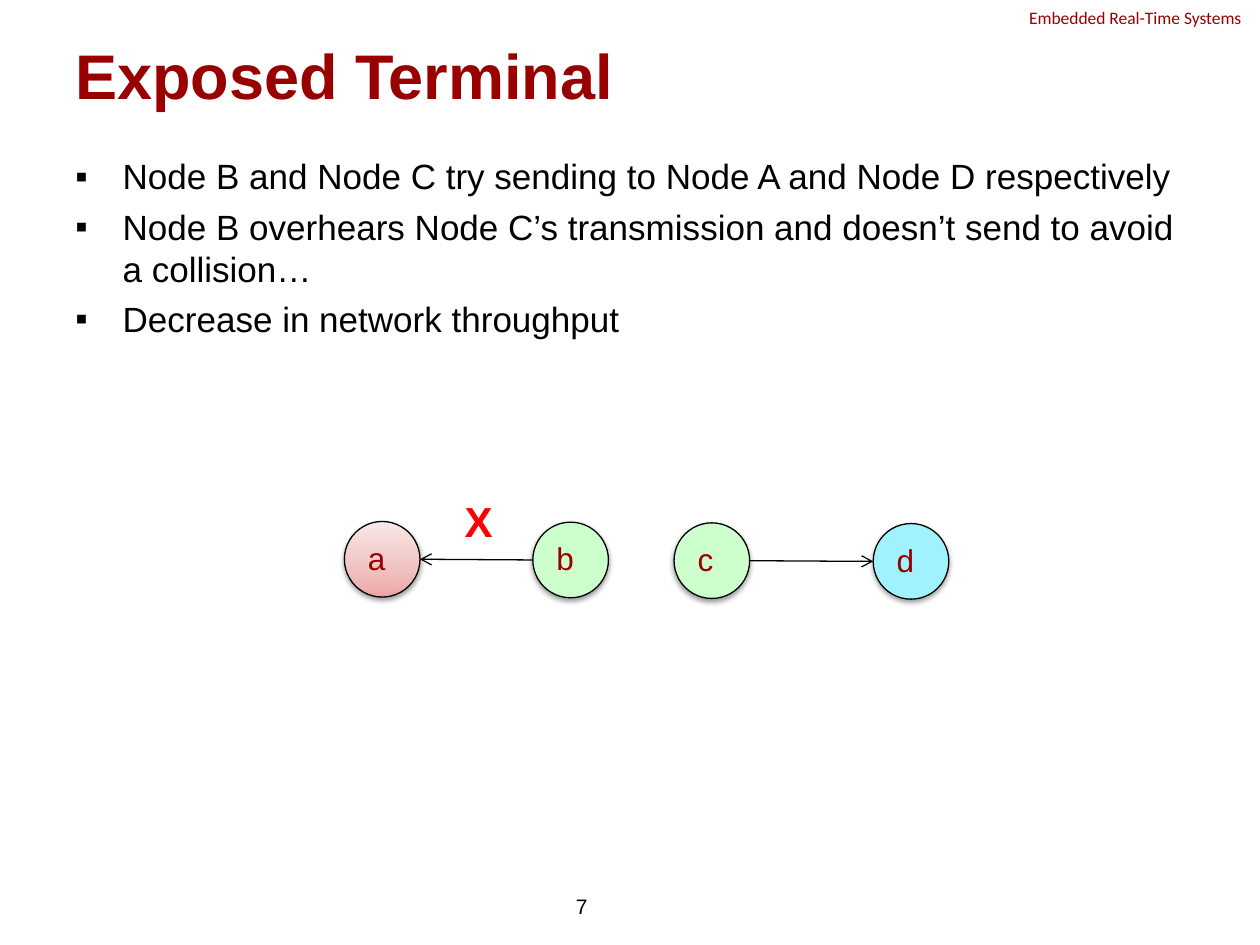
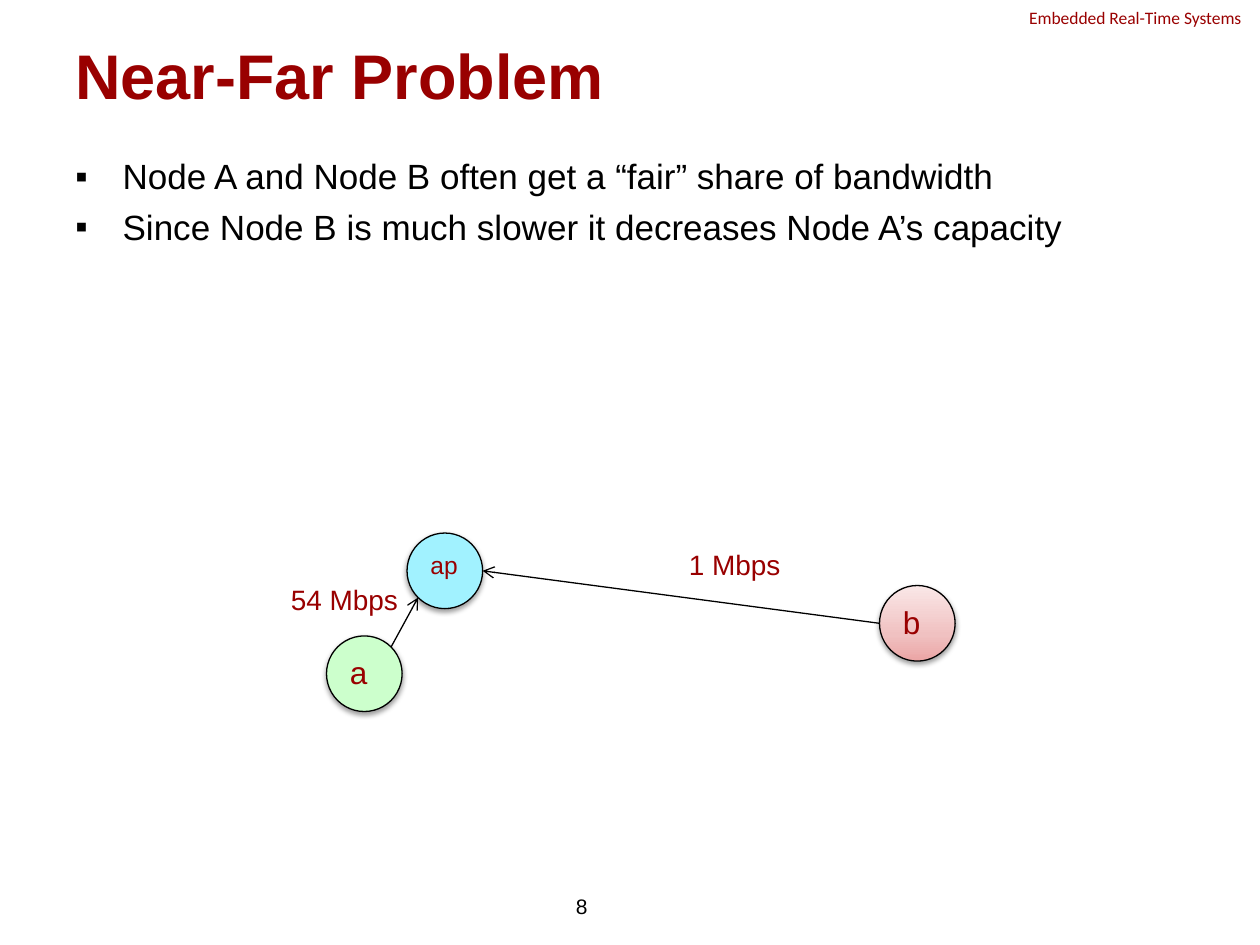
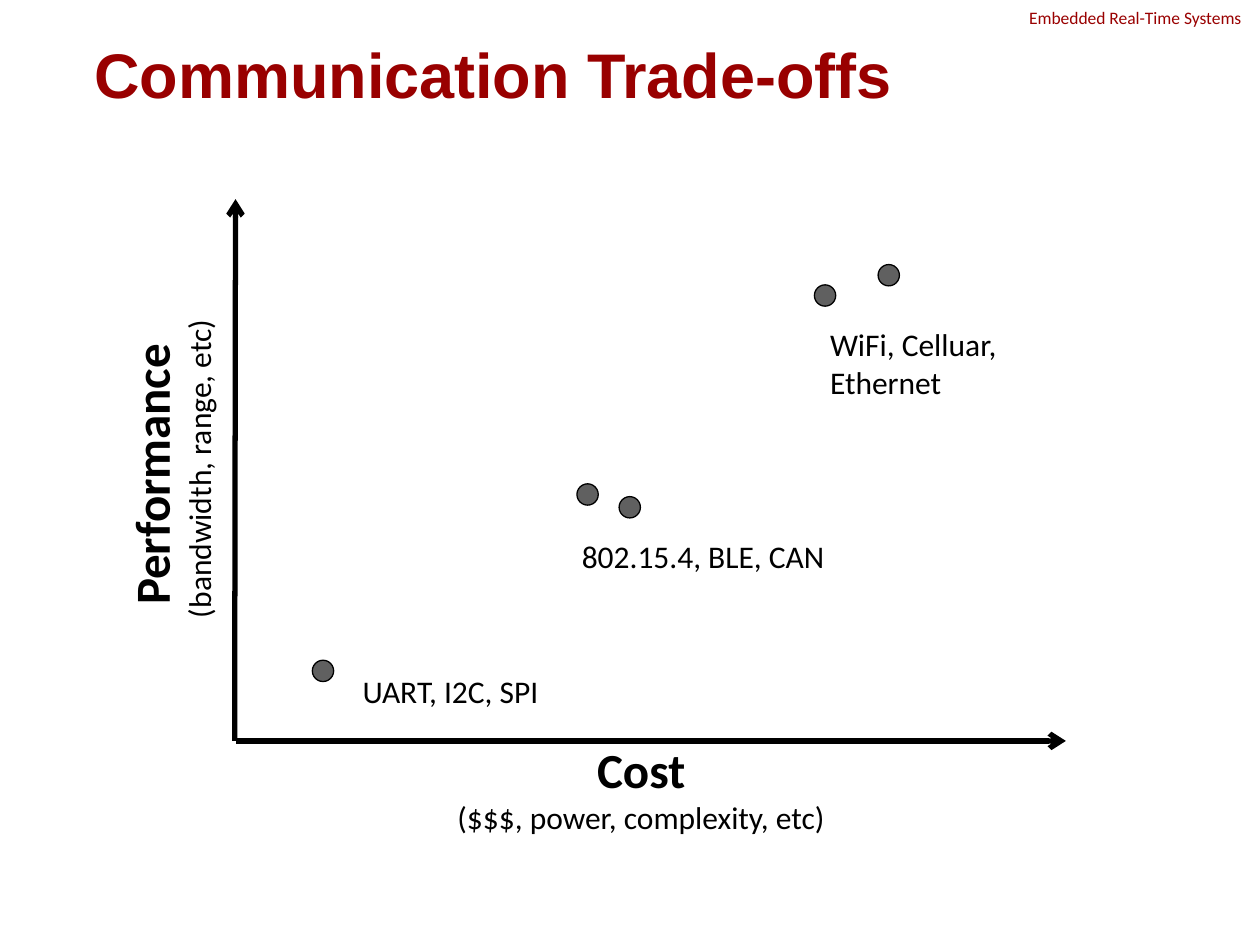
from dataclasses import dataclass

from lxml import etree
from pptx import Presentation
from pptx.dml.color import RGBColor
from pptx.enum.shapes import MSO_CONNECTOR, MSO_SHAPE
from pptx.enum.text import MSO_ANCHOR, PP_ALIGN
from pptx.oxml.ns import qn
from pptx.util import Pt

STRAIGHT = MSO_CONNECTOR.STRAIGHT
OVAL = MSO_SHAPE.OVAL
TOP, MIDDLE = MSO_ANCHOR.TOP, MSO_ANCHOR.MIDDLE
LEFT, CENTER, RIGHT = PP_ALIGN.LEFT, PP_ALIGN.CENTER, PP_ALIGN.RIGHT
DIAGONAL = 0.71


@dataclass(frozen=True)
class Theme:
    heading_font: str = "Arial"
    label_font: str = "Calibri"
    accent: str = "990000"
    ink: str = "000000"
    alert: str = "FF0000"
    green: str = "CCFFCC"
    cyan: str = "A1F2FF"
    dot: str = "606060"
    rose: tuple = ((0, "EBA5A5"), (35, "F0C1C1"), (100, "FAE7E7"))
    title_size: float = 36
    axis_size: float = 28
    alert_size: float = 24
    body_size: float = 20
    label_size: float = 18
    rate_size: float = 16
    small_label_size: float = 14
    number_size: float = 12
    header_size: float = 10
    thin_line: float = 0.75
    axis_line: float = 3


THEME = Theme()
TITLE_BOX = (36, 21.6, 648, 41.8)
BODY_BOX = (36, 85, 648, 397)
NUMBER_BOX = (175, 503.3, 167.8, 28.8)
HEADER_BOX = (581, 0.7, 139, 19.4)
NODE_SIZE = 43.2
DOT_SIZE = 12.2


def add_run(paragraph, text, size, color=THEME.ink, font=THEME.heading_font, bold=False):
    run = paragraph.add_run()
    run.text = text
    run.font.size = Pt(size)
    run.font.name = font
    run.font.bold = bold
    run.font.color.rgb = RGBColor.from_string(color)


def add_text_box(slide, box, anchor=TOP):
    shape = slide.shapes.add_textbox(*map(Pt, box))
    shape.text_frame.word_wrap = True
    shape.text_frame.vertical_anchor = anchor
    return shape


def add_label(slide, box, text, size, align=LEFT, anchor=TOP, **style):
    paragraph = add_text_box(slide, box, anchor).text_frame.paragraphs[0]
    paragraph.alignment = align
    add_run(paragraph, text, size, **style)


def add_base(presentation, title, title_box=TITLE_BOX):
    """Add a blank slide with the running header and its title."""
    slide = presentation.slides.add_slide(presentation.slide_layouts[6])
    add_label(slide, HEADER_BOX, "Embedded Real-Time Systems", THEME.header_size,
              color=THEME.accent, font=THEME.label_font)
    add_label(slide, title_box, title, THEME.title_size, anchor=MIDDLE,
              color=THEME.accent, bold=True)
    return slide


def add_bullets(slide, box, items):
    text_frame = add_text_box(slide, box).text_frame
    for index, item in enumerate(items):
        paragraph = text_frame.add_paragraph() if index else text_frame.paragraphs[0]
        properties = paragraph._p.get_or_add_pPr()
        properties.set("marL", str(Pt(27)))
        properties.set("indent", str(Pt(-27)))
        etree.SubElement(properties, qn("a:buFont")).set("typeface", THEME.heading_font)
        etree.SubElement(properties, qn("a:buChar")).set("char", "▪")
        if index:
            paragraph.space_before = Pt(4.6)
        add_run(paragraph, item, THEME.body_size)


def add_bullet_slide(presentation, title, items, number):
    slide = add_base(presentation, title)
    add_bullets(slide, BODY_BOX, items)
    add_label(slide, NUMBER_BOX, str(number), THEME.number_size, RIGHT, MIDDLE)
    return slide


def fill_gradient(shape, stops):
    shape.fill.gradient()
    shape.fill.gradient_angle = 90
    stop_list = shape._element.spPr.find(".//" + qn("a:gsLst"))
    for stop in list(stop_list):
        stop_list.remove(stop)
    for percent, color in stops:
        stop = etree.SubElement(stop_list, qn("a:gs"), pos=str(percent * 1000))
        etree.SubElement(stop, qn("a:srgbClr"), val=color)


def add_soft_shadow(shape):
    effects = shape._element.spPr.find(qn("a:effectLst"))
    shadow = etree.SubElement(effects, qn("a:outerShdw"), blurRad=str(Pt(3.1)),
                              dist=str(Pt(1.6)), dir="5400000", rotWithShape="0")
    color = etree.SubElement(shadow, qn("a:srgbClr"), val=THEME.ink)
    etree.SubElement(color, qn("a:alpha"), val="38000")


def add_circle(slide, left, top, size, fill):
    """Add an outlined circle; fill is one colour or a tuple of gradient stops."""
    shape = slide.shapes.add_shape(OVAL, Pt(left), Pt(top), Pt(size), Pt(size))
    shape.shadow.inherit = False
    if isinstance(fill, str):
        shape.fill.solid()
        shape.fill.fore_color.rgb = RGBColor.from_string(fill)
    else:
        fill_gradient(shape, fill)
    shape.line.color.rgb = RGBColor.from_string(THEME.ink)
    shape.line.width = Pt(THEME.thin_line)
    return shape


def add_node(slide, left, top, name, fill, size=THEME.label_size):
    node = add_circle(slide, left, top, NODE_SIZE, fill)
    add_soft_shadow(node)
    node.text_frame.word_wrap = True
    node.text_frame.vertical_anchor = TOP
    paragraph = node.text_frame.paragraphs[0]
    paragraph.alignment = LEFT
    add_run(paragraph, name, size, THEME.accent)
    return node


def rim_point(node, across, down):
    """Return the point on a circle in the direction (across, down) from its centre."""
    radius = node.width / 2
    return (node.left.pt + (radius + radius * across) / Pt(1),
            node.top.pt + (radius + radius * down) / Pt(1))


def add_arrow(slide, start, end, width=THEME.thin_line):
    arrow = slide.shapes.add_connector(STRAIGHT, *map(Pt, (*start, *end)))
    arrow.line.color.rgb = RGBColor.from_string(THEME.ink)
    arrow.line.width = Pt(width)
    etree.SubElement(arrow.line._get_or_add_ln(), qn("a:tailEnd"), type="arrow")
    etree.SubElement(arrow._element.spPr, qn("a:effectLst"))


def draw_exposed_nodes(slide, left, top):
    specifications = ((0, "a", THEME.rose), (107.7, "b", THEME.green),
                      (188.4, "c", THEME.green), (302.2, "d", THEME.cyan))
    a, b, c, d = [add_node(slide, left + offset, top + 0.4 * index, name, fill)
                  for index, (offset, name, fill) in enumerate(specifications)]
    add_arrow(slide, rim_point(b, -1, 0), rim_point(a, 1, 0))
    add_arrow(slide, rim_point(c, 1, 0), rim_point(d, -1, 0))
    add_label(slide, (left + 61.7, top - 18.6, 41, 36.7), "X", THEME.alert_size,
              color=THEME.alert, bold=True)


def draw_near_far_nodes(slide, left, top):
    access_point = add_node(slide, left + 46, top, "ap", THEME.cyan, THEME.small_label_size)
    near = add_node(slide, left, top + 58.8, "a", THEME.green)
    far = add_node(slide, left + 316, top + 30, "b", THEME.rose)
    add_arrow(slide, rim_point(near, DIAGONAL, -DIAGONAL),
              rim_point(access_point, -DIAGONAL, DIAGONAL))
    add_arrow(slide, rim_point(far, -1, 0), rim_point(access_point, 1, 0))
    for across, down, rate in ((-27.5, 25, "54 Mbps"), (200, 5, "1 Mbps")):
        add_label(slide, (left + across, top + down, 82.8, 26.6), rate,
                  THEME.rate_size, color=THEME.accent)


def add_axis_title(slide, box, name, detail, rotation=0):
    shape = add_text_box(slide, box)
    shape.rotation = rotation
    text_frame = shape.text_frame
    lines = ((text_frame.paragraphs[0], name, THEME.axis_size, True),
             (text_frame.add_paragraph(), detail, THEME.label_size, False))
    for paragraph, text, size, bold in lines:
        paragraph.alignment = CENTER
        add_run(paragraph, text, size, font=THEME.label_font, bold=bold)


def draw_trade_off_plot(slide, left, top, width, height):
    bottom = top + height
    add_arrow(slide, (left, bottom), (left + width, bottom), THEME.axis_line)
    add_arrow(slide, (left - 0.5, bottom), (left, top), THEME.axis_line)
    add_axis_title(slide, (left - 195.8, top + 122.4, 316.8, 63.4),
                   "Performance ", "(bandwidth, range, etc)", 270)
    add_axis_title(slide, (left + 73.4, bottom - 4.3, 316.8, 63.4),
                   "Cost", "($$$, power, complexity, etc)")
    for across, down in ((43.9, 263.5), (330.8, 49), (367.2, 37.4),
                         (195.1, 162.7), (219.2, 170)):
        add_circle(slide, left + across, top + down, DOT_SIZE, THEME.dot)
    for across, down, label_width, text in ((65.5, 266.4, 161, "UART, I2C, SPI"),
                                            (190.8, 189.4, 188, "802.15.4, BLE, CAN"),
                                            (332.6, 68.4, 152.6, "WiFi, Celluar, Ethernet")):
        add_label(slide, (left + across, top + down, label_width, 28.8), text,
                  THEME.label_size, font=THEME.label_font)


def main():
    presentation = Presentation()
    presentation.slide_width, presentation.slide_height = Pt(720), Pt(540)

    exposed = add_bullet_slide(presentation, "Exposed Terminal", (
        "Node B and Node C try sending to Node A and Node D respectively",
        "Node B overhears Node C’s transmission and doesn’t send to avoid a collision…",
        "Decrease in network throughput"), 7)
    draw_exposed_nodes(exposed, 196.8, 298)

    near_far = add_bullet_slide(presentation, "Near-Far Problem", (
        "Node A and Node B often get a “fair” share of bandwidth",
        "Since Node B is much slower it decreases Node A’s capacity"), 8)
    draw_near_far_nodes(near_far, 186.6, 304.6)

    trade_offs = add_base(presentation, "Communication Trade-offs", (46.8, 19.4, 648, 44.6))
    draw_trade_off_plot(trade_offs, 134.6, 113.8, 474.5, 309.6)

    presentation.save("out.pptx")


if __name__ == "__main__":
    main()
